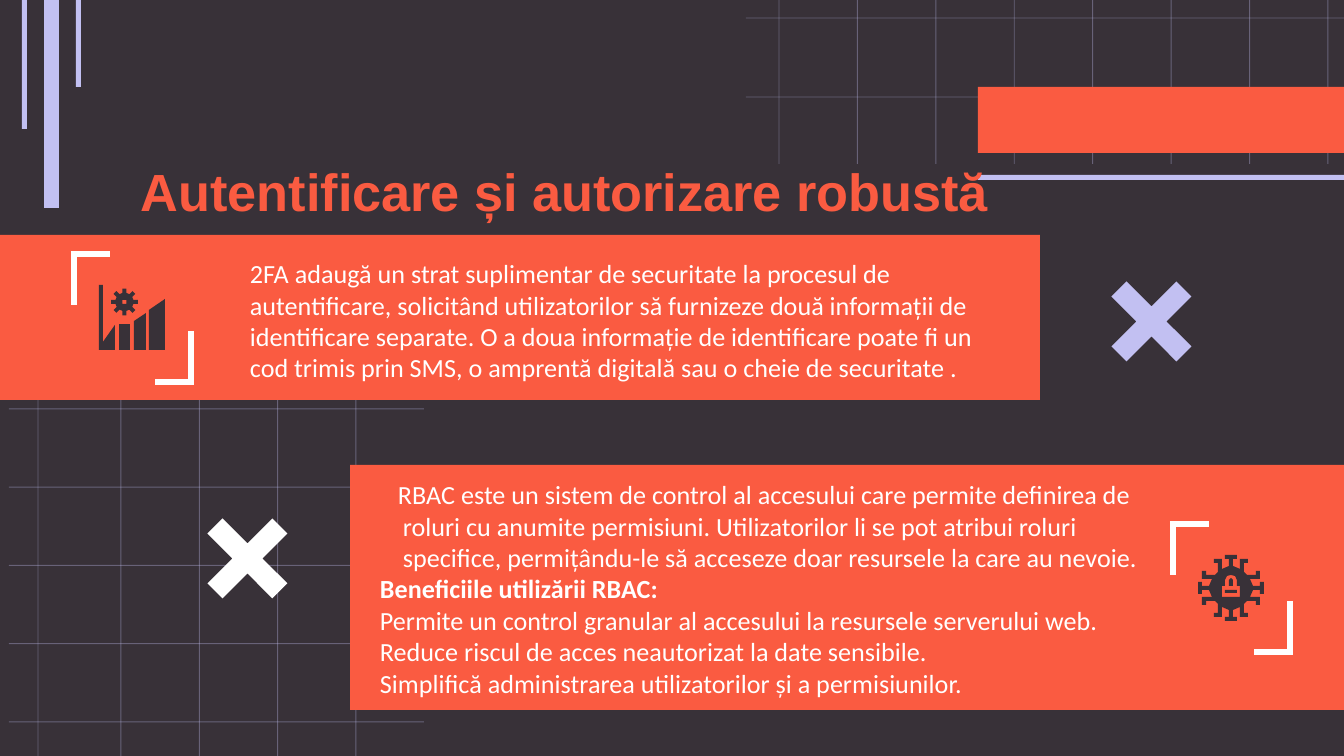
from math import cos, sin, pi

from lxml.etree import SubElement
from pptx import Presentation
from pptx.dml.color import RGBColor
from pptx.enum.shapes import MSO_CONNECTOR as Wire, MSO_SHAPE as Kind
from pptx.enum.text import MSO_ANCHOR as Anchor
from pptx.oxml.ns import qn
from pptx.util import Pt

DARK = RGBColor(0x38, 0x31, 0x38)
CORAL = RGBColor(0xFA, 0x5B, 0x41)
LILAC = RGBColor(0xC2, 0xC0, 0xF2)
WHITE = RGBColor(0xFF, 0xFF, 0xFF)
SCALE = 914400 / 134.4
WIDE, HIGH = 1344, 756


def px(n):
    return round(n * SCALE)


def paint(shape, color):
    shape.shadow.inherit = False
    shape.fill.solid()
    shape.fill.fore_color.rgb = color
    shape.line.fill.background()
    return shape


def block(slide, x, y, w, h, color, kind=Kind.RECTANGLE):
    shape = slide.shapes.add_shape(kind, px(x), px(y), px(w), px(h))
    return paint(shape, color)


def cross(slide, x, y, size, color):
    block(slide, x, y, size, size, color, Kind.MATH_MULTIPLY).adjustments[0] = 0.17


def line(slide, x1, y1, x2, y2, color, width, alpha=None):
    wire = slide.shapes.add_connector(Wire.STRAIGHT, px(x1), px(y1), px(x2), px(y2))
    wire.line.color.rgb = color
    wire.line.width = Pt(width)
    SubElement(wire._element.spPr, qn("a:effectLst"))
    if alpha:
        tint = wire.line._ln.find(".//" + qn("a:srgbClr"))
        SubElement(tint, qn("a:alpha")).set("val", str(alpha * 1000))


def outline(slide, x, y, loops, color):
    loops = [[(px(x + a), px(y + b)) for a, b in loop] for loop in loops]
    pen = slide.shapes.build_freeform(*loops[0][0])
    for i, loop in enumerate(loops):
        if i:
            pen.move_to(*loop[0])
        pen.add_line_segments(loop[1:], close=True)
    paint(pen.convert_to_shape(), color)


def write(slide, x, y, w, h, text, size=14, font="Calibri", color=WHITE,
          bold=(), dents=None):
    frame = slide.shapes.add_textbox(px(x), px(y), px(w), px(h)).text_frame
    frame.word_wrap = True
    frame.vertical_anchor = Anchor.MIDDLE
    frame.margin_left = frame.margin_right = px(13)
    frame.margin_top = frame.margin_bottom = px(13)
    for i, part in enumerate(text):
        para = frame.add_paragraph() if i else frame.paragraphs[0]
        if dents:
            left, first = dents[i]
            props = para._p.get_or_add_pPr()
            props.set("marL", str(px(left)))
            props.set("indent", str(px(first)))
        run = para.add_run()
        run.text = part
        run.font.size = Pt(size)
        run.font.name = font
        run.font.bold = i in bold
        run.font.color.rgb = color


def spread(first, last, count):
    return [first + (last - first) * i / (count - 1) for i in range(count)]


def grid(slide, x, y, w, h, cols, rows):
    for row in rows:
        line(slide, x, y + row, x + w, y + row, LILAC, 0.5, 35)
    for col in cols:
        line(slide, x + col, y, x + col, y + h, LILAC, 0.5, 35)


def bars(slide, x, y):
    for left, w, h in ((22, 15, 208), (0, 5, 129), (54, 5, 87)):
        block(slide, x + left, y, w, h, LILAC)


def flag(slide, x, y, w):
    block(slide, x, y, w, 66, CORAL)
    block(slide, x, y + 88, w, 5, LILAC)


def turn(points, angle):
    c, s = cos(angle), sin(angle)
    return [(a * c - b * s, a * s + b * c) for a, b in points]


def rect(x, y, w, h):
    return [(x, y), (x + w, y), (x + w, y + h), (x, y + h)]


def chart(slide, x, y):
    for loop in (
        [(0, 0), (4, 0), (4, 57), (16, 40), (16, 65), (0, 65)],
        rect(20, 39, 11, 26),
        [(35, 36), (47, 28), (47, 65), (35, 65)],
        [(50, 25), (66, 14), (66, 65), (50, 65)],
    ):
        outline(slide, x, y, [loop], DARK)
    tooth = [(9, -2), (13.4, -2), (13.4, 2), (9, 2)]
    gear = [p for i in range(8) for p in turn(tooth, i * pi / 4)]
    outline(slide, x + 25.5, y + 17, [gear, rect(-2, -2, 4, 4)], DARK)


def virus(slide, x, y):
    arm = [(-6, -33), (6, -33), (6, -29), (2, -29), (2, -22), (9, -19),
           (9, -29), (17, -29), (17, -25), (13, -25), (13, -16), (16, -13),
           (25, -13), (25, -17), (29, -17), (29, -9), (19, -9), (22, -2),
           (29, -2), (29, -6)]
    body = [p for i in range(4) for p in turn(arm, i * pi / 2)]
    lock = [(-9, -2), (-6, -2), (-6, -8), (-4, -12), (0, -13), (4, -12),
            (6, -8), (6, -2), (9, -2), (9, 9), (-9, 9)]
    arch = [(-2, -2), (-2, -8), (0, -10), (2, -8), (2, -2)]
    outline(slide, x + 33, y + 33, [body, lock, arch, rect(-6, 2, 12, 3)], DARK)


def badge(slide, x, y, icon):
    w, h = 117, 128
    for cx, cy, way in ((x, y, 1), (x + w, y + h, -1)):
        line(slide, cx, cy + 51 * way, cx, cy, WHITE, 3)
        line(slide, cx - 3 * way, cy, cx + 36 * way, cy, WHITE, 3)
    icon(slide, x + 25, y + 31)


def factor(slide, x, y, w, h):
    block(slide, x, y, w, h, CORAL)
    write(slide, x + 237, y + 41, 788, 89, [
        "2FA adaugă un strat suplimentar de securitate la procesul de autentificare, "
        "solicitând utilizatorilor să furnizeze două informații de identificare separate. "
        "O a doua informație de identificare poate fi un cod trimis prin SMS, "
        "o amprentă digitală sau o cheie de securitate ."])
    badge(slide, x + 74, y + 19, chart)


def roles(slide, x, y, w, h):
    block(slide, x, y, w, h, CORAL)
    write(slide, x - 27, y + 39, 872, 169, [
        "RBAC este un sistem de control al accesului care permite definirea de roluri "
        "cu anumite permisiuni. Utilizatorilor li se pot atribui roluri specifice, "
        "permițându-le să acceseze doar resursele la care au nevoie.",
        "Beneficiile utilizării RBAC:",
        "Permite un control granular al accesului la resursele serverului web.",
        "Reduce riscul de acces neautorizat la date sensibile.",
        "Simplifică administrarea utilizatorilor și a permisiunilor.",
    ], bold=(1,), dents=[(67, -5)] + [(44, 0)] * 4)
    badge(slide, x + 823, y + 59, virus)


def main():
    deck = Presentation()
    deck.slide_width, deck.slide_height = px(WIDE), px(HIGH)
    slide = deck.slides.add_slide(deck.slide_layouts[6])
    slide.background.fill.solid()
    slide.background.fill.fore_color.rgb = DARK
    grid(slide, 9, 333, 415, HIGH - 333, [29] + spread(112, 347, 4), spread(76, 389, 5))
    grid(slide, 746, 0, WIDE - 746, 164, spread(33, 582, 8), (18, 97))
    bars(slide, 22, 0)
    flag(slide, 978, 87, WIDE - 978)
    write(slide, 128, 144, 981, 93, ["Autentificare și autorizare robustă"],
          size=28, font="Arial", color=CORAL, bold=(0,))
    roles(slide, 350, 465, WIDE - 350, 245)
    factor(slide, 0, 235, 1040, 165)
    cross(slide, 185, 496, 125, WHITE)
    cross(slide, 1089, 259, 125, LILAC)
    deck.save("out.pptx")


if __name__ == "__main__":
    main()
